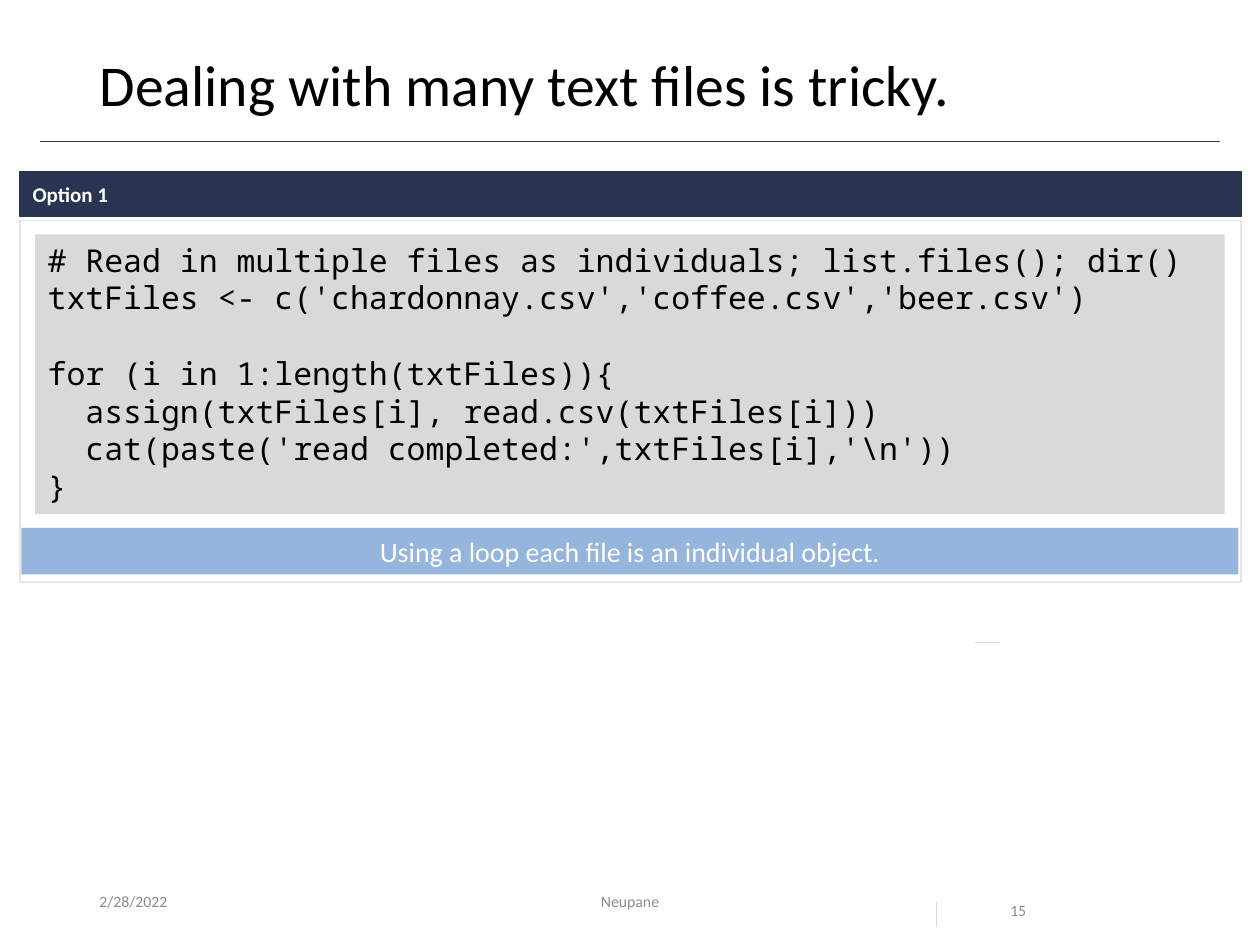
import pptx
import pptx.dml.color
import pptx.enum.shapes
import pptx.enum.text
import pptx.oxml.ns
import pptx.util
from lxml import etree

Inches = pptx.util.Inches
Pt = pptx.util.Pt
ALIGN = pptx.enum.text.PP_ALIGN
ANCHOR = pptx.enum.text.MSO_ANCHOR

SANS, MONO = "Calibri", "Noto Sans Mono"
NAVY, SKY, CODE_GRAY, PALE_GRAY = "293352", "95B5DC", "D9D9D9", "E7E6E6"
RULE_GRAY, FOOTER_GRAY, BLACK, WHITE = "404040", "8C8C8C", "000000", "FFFFFF"

CODE_TOP = """# Read in multiple files as individuals; list.files(); dir()
txtFiles <- c('chardonnay.csv','coffee.csv','beer.csv')"""
CODE_LOOP = r"""for (i in 1:length(txtFiles)){
  assign(txtFiles[i], read.csv(txtFiles[i]))
  cat(paste('read completed:',txtFiles[i],'\n'))
}"""


def rgb(value):
    return pptx.dml.color.RGBColor.from_string(value)


def write(frame, *blocks, size, color, font=SANS, bold=False, align=ALIGN.LEFT,
          anchor=ANCHOR.TOP, spacing=None, gap=0, wrap=True):
    """Write each line of each block as a paragraph, with a gap between blocks."""
    frame.word_wrap = wrap
    frame.auto_size = pptx.enum.text.MSO_AUTO_SIZE.NONE
    frame.vertical_anchor = anchor
    lines = [(text, gap if row == 0 and number else 0)
             for number, block in enumerate(blocks)
             for row, text in enumerate(block.split("\n"))]
    for index, (text, before) in enumerate(lines):
        paragraph = frame.add_paragraph() if index else frame.paragraphs[0]
        paragraph.alignment = align
        paragraph.space_before = Pt(before)
        if spacing:
            paragraph.line_spacing = spacing
        run = paragraph.add_run()
        run.text = text
        run.font.size = Pt(size)
        run.font.name = font
        run.font.bold = bold
        run.font.color.rgb = rgb(color)


class SlideBuilder:
    def __init__(self, slide):
        self.slide = slide
        self.shapes = slide.shapes

    def title(self, text, left, top, width, height):
        heading = self.shapes.title
        heading.left, heading.top = Inches(left), Inches(top)
        heading.width, heading.height = Inches(width), Inches(height)
        write(heading.text_frame, text, size=33, color=BLACK, spacing=0.9)

    def label(self, text, left, top, width, height, **style):
        box = self.shapes.add_textbox(*map(Inches, (left, top, width, height)))
        write(box.text_frame, text, **style)

    def panel(self, left, top, width, height, fill, line=None):
        """Add a flat rectangle and return its text frame."""
        panel = self.shapes.add_shape(
            pptx.enum.shapes.MSO_SHAPE.RECTANGLE,
            *map(Inches, (left, top, width, height)))
        panel.shadow.inherit = False
        panel.fill.solid()
        panel.fill.fore_color.rgb = rgb(fill)
        if line:
            panel.line.color.rgb = rgb(line)
            panel.line.width = Pt(0.75)
        else:
            panel.line.fill.background()
        return panel.text_frame

    def rule(self, x1, y1, x2, y2, color):
        rule = self.shapes.add_connector(
            pptx.enum.shapes.MSO_CONNECTOR.STRAIGHT,
            *map(Inches, (x1, y1, x2, y2)))
        rule.line.color.rgb = rgb(color)
        rule.line.width = Pt(0.5)
        etree.SubElement(rule._element.spPr, pptx.oxml.ns.qn("a:effectLst"))


def main():
    deck = pptx.Presentation()
    deck.slide_width, deck.slide_height = Inches(10), Inches(7.5)
    page = SlideBuilder(deck.slides.add_slide(deck.slide_layouts[5]))

    page.rule(0.32, 1.12, 9.68, 1.12, RULE_GRAY)
    page.title("Dealing with many text files is tricky.", 0.69, 0.4, 8.62, 0.65)

    footer = {"size": 9, "color": FOOTER_GRAY}
    page.label("2/28/2022", 0.69, 6.95, 2.25, 0.4, anchor=ANCHOR.MIDDLE, **footer)
    page.label("Neupane", 3.31, 6.95, 3.38, 0.4, anchor=ANCHOR.MIDDLE,
               align=ALIGN.CENTER, **footer)
    page.label("15", 7.92, 6.95, 0.94, 0.4, spacing=2.0, **footer)

    page.panel(0.16, 1.75, 9.69, 2.87, WHITE, PALE_GRAY)
    option = page.panel(0.16, 1.36, 9.69, 0.36, NAVY, NAVY)
    write(option, "Option 1", size=12, color=WHITE, bold=True, anchor=ANCHOR.MIDDLE)
    code = page.panel(0.28, 1.86, 9.44, 2.22, CODE_GRAY)
    write(code, CODE_TOP, CODE_LOOP, size=18, color=BLACK, font=MONO, gap=21.5)
    remark = page.panel(0.17, 4.19, 9.66, 0.37, SKY)
    write(remark, "Using a loop each file is an individual object.",
          size=16, color=WHITE, align=ALIGN.CENTER)

    page.rule(7.43, 7.16, 7.43, 7.36, CODE_GRAY)
    page.rule(7.74, 5.1, 7.94, 5.1, CODE_GRAY)

    deck.save("out.pptx")


if __name__ == "__main__":
    main()
